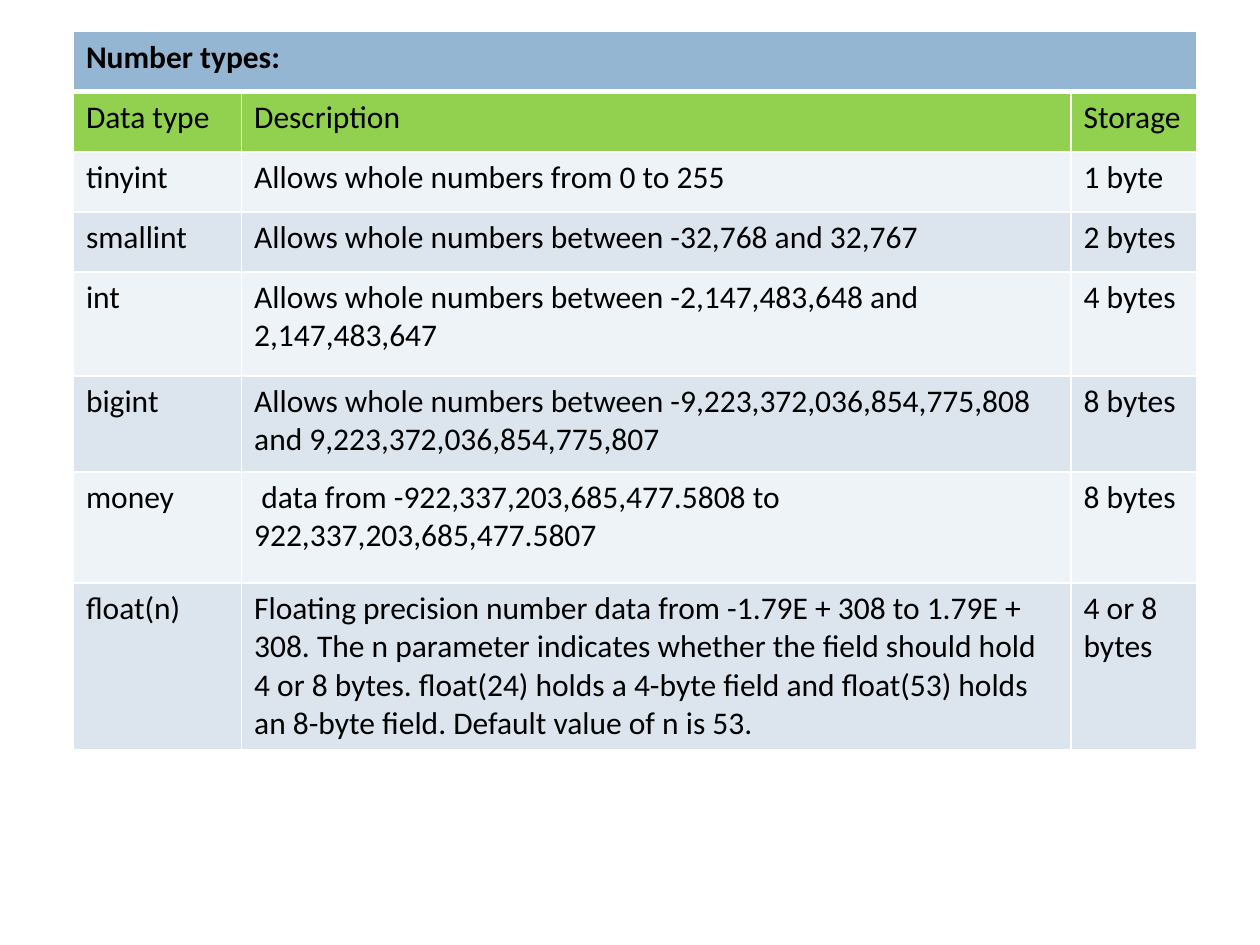
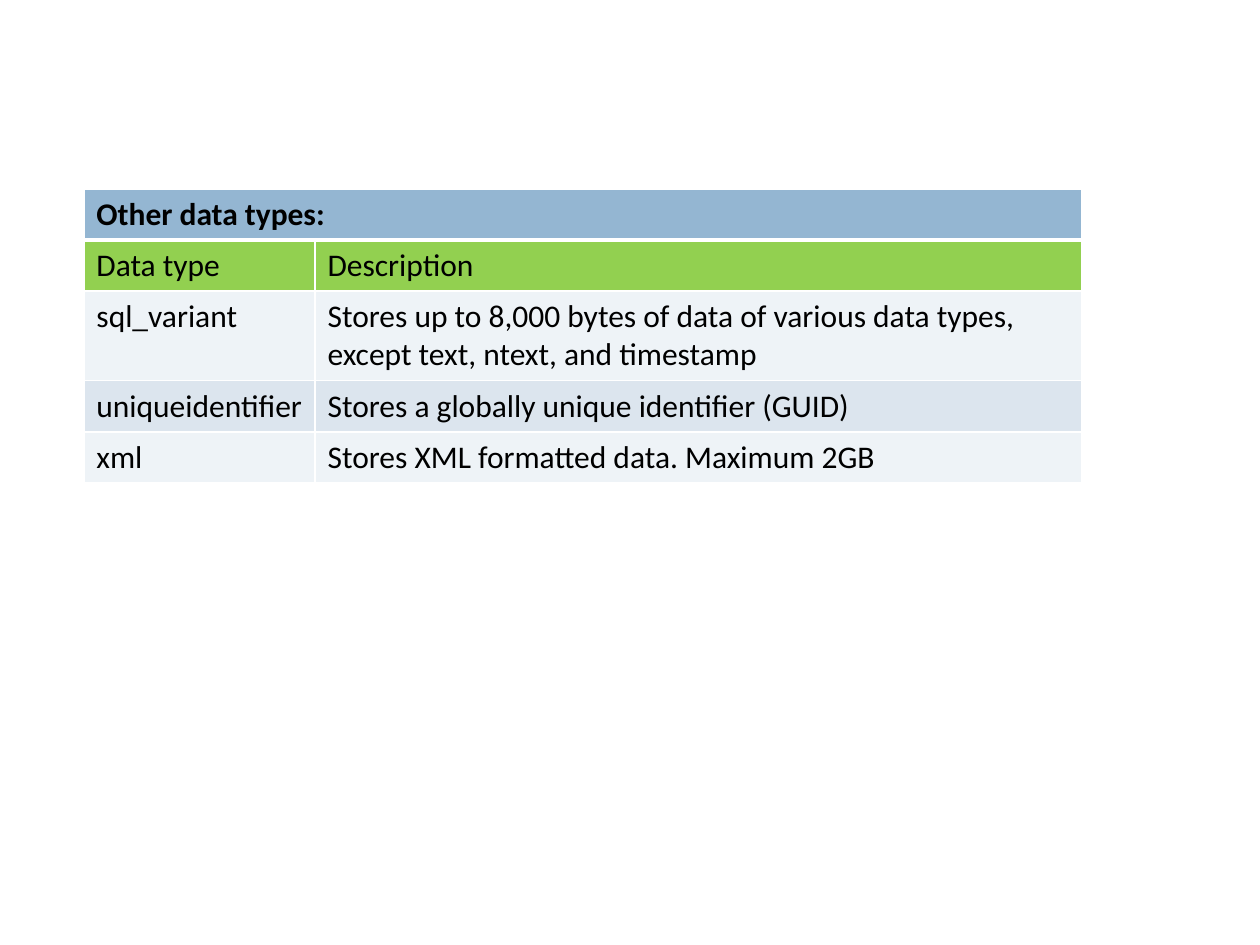
import pptx
import pptx.util
import pptx.dml.color
import pptx.oxml
import pptx.oxml.ns
import lxml.etree

FONT = "Calibri"
SIZE = 18
INK = "000000"
WHITE = "FFFFFF"
BLUE = "94B6D2"
GREEN = "92D050"
BANDS = ("EEF3F7", "DCE5EE")
THIN, THICK = 1, 3

NUMBERS = [
    ("Data type", "Description", "Storage"),
    ("tinyint", "Allows whole numbers from 0 to 255", "1 byte"),
    ("smallint", "Allows whole numbers between -32,768 and 32,767", "2 bytes"),
    ("int", "Allows whole numbers between -2,147,483,648 and 2,147,483,647", "4 bytes"),
    ("bigint", "Allows whole numbers between -9,223,372,036,854,775,808 "
     "and 9,223,372,036,854,775,807", "8 bytes"),
    ("money", " data from -922,337,203,685,477.5808 to 922,337,203,685,477.5807", "8 bytes"),
    ("float(n)", "Floating precision number data from -1.79E + 308 to 1.79E + 308. "
     "The n parameter indicates whether the field should hold 4 or 8 bytes. "
     "float(24) holds a 4-byte field and float(53) holds an 8-byte field. "
     "Default value of n is 53.", "4 or 8 bytes"),
]
OTHERS = [
    ("Data type", "Description"),
    ("sql_variant", "Stores up to 8,000 bytes of data of various data types, "
     "except text, ntext, and timestamp"),
    ("uniqueidentifier", "Stores a globally unique identifier (GUID)"),
    ("xml", "Stores XML formatted data. Maximum 2GB"),
]


def paint(item, color):
    """Give a fill or a font a solid colour from a hex string."""
    item.rgb = pptx.dml.color.RGBColor.from_string(color)


def edge(cell, **widths):
    """Draw white cell borders, with widths in points keyed by side."""
    props = cell._tc.get_or_add_tcPr()
    name = pptx.oxml.ns.qn
    for side in "LRTB":
        width = pptx.util.Pt(widths.get(side, THIN))
        line = lxml.etree.SubElement(props, name("a:ln" + side), w=str(int(width)))
        fill = lxml.etree.SubElement(line, name("a:solidFill"))
        lxml.etree.SubElement(fill, name("a:srgbClr"), val=WHITE)


def style(cell, color, bold=False, **widths):
    """Set the borders, fill and font of one cell."""
    edge(cell, **widths)
    cell.fill.solid()
    paint(cell.fill.fore_color, color)
    for run in cell.text_frame.paragraphs[0].runs:
        run.font.name = FONT
        run.font.size = pptx.util.Pt(SIZE)
        run.font.bold = bold
        paint(run.font.color, INK)


def add_grid(deck, title, rows, left, top, widths, heights):
    """Add a slide with a titled table; all lengths are in centimetres."""
    cm = pptx.util.Cm
    slide = deck.slides.add_slide(deck.slide_layouts[6])
    frame = slide.shapes.add_table(len(heights), len(widths), cm(left), cm(top),
                                   cm(sum(widths)), cm(sum(heights)))
    table = frame.table
    for col, width in zip(table.columns, widths):
        col.width = cm(width)
    for row, height in zip(table.rows, heights):
        row.height = cm(height)

    table.cell(0, 0).merge(table.cell(0, len(widths) - 1))
    table.cell(0, 0).text_frame.text = title
    for cell in table.rows[0].cells:
        style(cell, BLUE, bold=True, B=THICK)
    for r, texts in enumerate(rows, 1):
        color = GREEN if r == 1 else BANDS[r % 2]
        for c, text in enumerate(texts):
            cell = table.cell(r, c)
            cell.text_frame.text = text
            style(cell, color, T=THICK if r == 1 else THIN)


def main():
    """Build and save the two slides."""
    deck = pptx.Presentation()
    deck.slide_width = pptx.util.Cm(25.4)
    deck.slide_height = pptx.util.Cm(19.05)
    add_grid(deck, "Number types:", NUMBERS, 1.48, 0.64,
             (3.39, 16.72, 2.54), [1.21] * 4 + [2.1, 1.93, 2.24, 3])
    add_grid(deck, "Other data types:", OTHERS, 1.69, 3.81,
             (4.66, 15.45), [1.03] * 5)
    deck.save("out.pptx")


main()
